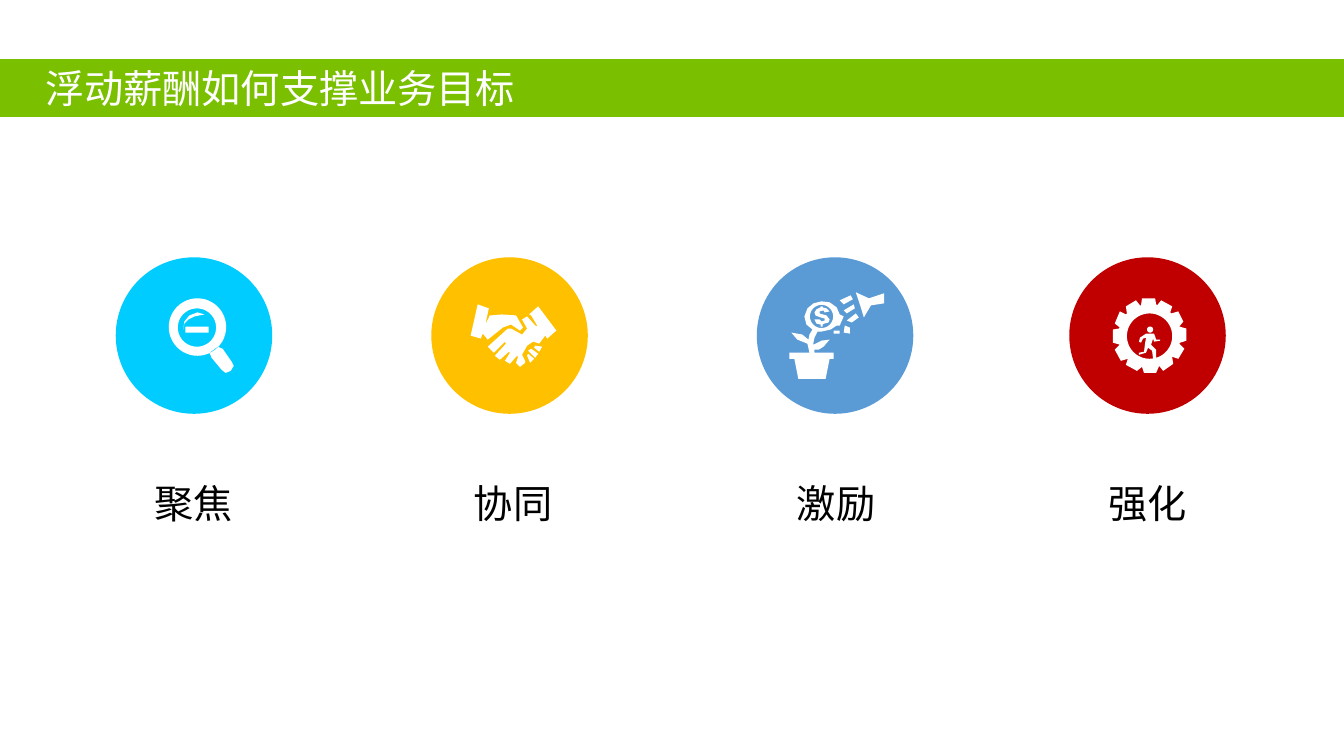
"""Build a slide showing four ways variable pay supports business goals."""
import math
from dataclasses import dataclass

from lxml import etree
from pptx import Presentation
from pptx import util as u
from pptx.dml.color import RGBColor
from pptx.enum import shapes, text
from pptx.oxml.ns import qn


@dataclass(frozen=True)
class Theme:
    font: str = "Noto Sans CJK SC"
    size: int = 28
    bar: str = "7ABF00"
    light: str = "FFFFFF"
    dark: str = "000000"
    focus: str = "00CCFF"
    teamwork: str = "FFC000"
    incentive: str = "5B9BD5"
    reinforce: str = "C00000"


def circle(x, y, radius, steps=48):
    angles = [2 * math.pi * step / steps for step in range(steps)]
    return [(x + radius * math.cos(a), y + radius * math.sin(a)) for a in angles]


def outline(points):
    return [tuple(map(int, point.split(","))) for point in points.split()]


THEME = Theme()
TITLE = "浮动薪酬如何支撑业务目标"

MAGNIFIER = [
    circle(29, 28.5, 28.5),
    circle(28.5, 29, 19),
    outline("17,28 17,34 40,34 40,28"),
    outline("15,31 16,25 20,21 26,18 36,16 29,14 21,17 16,23"),
    outline("49,48 54,50 63,63 65,67 62,72 57,74 53,71 43,59 41,54"),
]
HANDSHAKE = [
    outline("18,4 7,0 0,31 10,34 12,29 17,35 32,23 40,20 49,26 52,23 45,11 "
            "31,10 20,11 19,11 15,19 15,18 17,9"),
    outline("67,2 85,26 76,34 74,31 68,39 62,37 56,41 51,50 54,56 54,58 49,62 "
            "45,58 47,52 46,51 39,59 34,56 39,48 38,47 29,55 24,51 35,39 34,37 "
            "23,48 17,42 37,24 40,24 51,30 56,24 51,15 56,12 65,22 66,21 60,11 58,10"),
    outline("71,42 64,41 63,43 68,47"),
    outline("59,58 63,54 57,49 56,51"),
    outline("64,53 67,49 60,44 57,46"),
]
MONEY_PLANT = [
    outline("5,66 9,86 36,86 40,66 44,66 44,60 25,60 25,57 29,57 34,54 40,47 "
            "32,48 24,52 24,50 25,45 28,39 32,39 41,37 47,33 50,33 54,24 50,22 "
            "47,15 40,10 32,9 24,11 18,16 15,24 17,32 23,37 20,42 19,47 13,42 "
            "2,40 8,47 18,51 20,60 0,60 0,66"),
    circle(32, 24, 11.5),
    outline("40,19 35,20 34,18 30,19 30,21 37,23 40,27 39,30 35,31 33,32 33,34 "
            "31,34 31,32 27,31 25,27 30,27 32,29 35,28 35,26 31,25 26,23 25,20 "
            "27,17 31,15 31,14 33,14 33,15 37,16"),
    outline("81,13 74,25 70,12 66,0 79,6 94,1 94,11"),
    outline("62,30 69,25 66,21 57,28"),
    outline("60,41 54,40 55,33 60,35"),
    outline("54,12 50,8 61,3 63,7"),
    outline("57,21 54,18 64,12 65,16"),
    outline("50,41 44,41 44,38 50,38"),
]
GEAR_RUNNER = [
    outline("43,6 44,7 48,2 59,8 57,14 58,15 65,13 70,23 66,28 73,30 73,42 67,44 "
            "66,45 71,50 65,60 59,58 59,59 60,65 50,72 46,67 43,74 31,74 29,68 "
            "24,72 13,66 15,60 8,62 2,51 7,46 0,44 0,31 6,30 7,29 2,25 7,13 13,16 "
            "14,15 13,8 23,2 27,7 28,7 29,0 42,0"),
    circle(36.5, 37.5, 22.5),
    outline("26,43 27,39 33,35 41,35 43,41 47,41 47,42 41,43 40,40 38,46 43,51 "
            "43,59 40,60 39,52 35,49 33,54 26,56 26,54 31,53 32,45 33,39 30,40 28,44"),
    circle(37, 31, 3),
]

# label, colour, circle centre, label centre, icon left, icon top, icon contours
GOALS = [
    ("聚焦", THEME.focus, 138.6, 138.2, 120.2, 213.1, MAGNIFIER),
    ("协同", THEME.teamwork, 364, 366.5, 336.2, 217.4, HANDSHAKE),
    ("激励", THEME.incentive, 596.5, 597.2, 563.8, 208.8, MONEY_PLANT),
    ("强化", THEME.reinforce, 819.7, 819.7, 794.9, 213.1, GEAR_RUNNER),
]
SLIDE_WIDTH, SLIDE_HEIGHT = 960, 540
BAR_TOP, BAR_HEIGHT, TITLE_INSET = 42.3, 41.2, 32.3
CIRCLE_TOP, CIRCLE_SIZE = 183.8, 111.8
LABEL_TOP, LABEL_WIDTH = 338.4, 160
ICON_UNIT, PRECISION = 0.72, 100


def paint(shape, colour):
    shape.shadow.inherit = False
    shape.fill.solid()
    shape.fill.fore_color.rgb = RGBColor.from_string(colour)
    shape.line.fill.background()


def write(shape, words, colour, alignment):
    frame = shape.text_frame
    frame.word_wrap = True
    frame.vertical_anchor = text.MSO_ANCHOR.MIDDLE
    paragraph = frame.paragraphs[0]
    paragraph.text = words
    paragraph.alignment = alignment
    paragraph.font.size = u.Pt(THEME.size)
    paragraph.font.color.rgb = RGBColor.from_string(colour)
    paragraph.font.name = THEME.font
    defaults = paragraph._p.pPr.find(qn("a:defRPr"))
    etree.SubElement(defaults, qn("a:ea"), typeface=THEME.font)


def add_preset(slide, kind, left, top, width, height, colour):
    shape = slide.shapes.add_shape(kind, *map(u.Pt, (left, top, width, height)))
    paint(shape, colour)
    return shape


def add_icon(slide, left, top, contours):
    scaled = [[(x * PRECISION, y * PRECISION) for x, y in c] for c in contours]
    builder = slide.shapes.build_freeform(*scaled[0][0], scale=u.Pt(ICON_UNIT) / PRECISION)
    builder.add_line_segments(scaled[0][1:], close=True)
    for contour in scaled[1:]:
        builder.move_to(*contour[0])
        builder.add_line_segments(contour[1:], close=True)
    paint(builder.convert_to_shape(u.Pt(left), u.Pt(top)), THEME.light)


def main():
    presentation = Presentation()
    presentation.slide_width = u.Pt(SLIDE_WIDTH)
    presentation.slide_height = u.Pt(SLIDE_HEIGHT)
    slide = presentation.slides.add_slide(presentation.slide_layouts[6])

    bar = add_preset(slide, shapes.MSO_SHAPE.RECTANGLE, 0, BAR_TOP,
                     SLIDE_WIDTH, BAR_HEIGHT, THEME.bar)
    bar.text_frame.margin_left = u.Pt(TITLE_INSET)
    write(bar, TITLE, THEME.light, text.PP_ALIGN.LEFT)

    for label, colour, centre, label_centre, icon_left, icon_top, contours in GOALS:
        add_preset(slide, shapes.MSO_SHAPE.OVAL, centre - CIRCLE_SIZE / 2, CIRCLE_TOP,
                   CIRCLE_SIZE, CIRCLE_SIZE, colour)
        add_icon(slide, icon_left, icon_top, contours)
        box = slide.shapes.add_textbox(u.Pt(label_centre - LABEL_WIDTH / 2), u.Pt(LABEL_TOP),
                                       u.Pt(LABEL_WIDTH), u.Pt(BAR_HEIGHT))
        write(box, label, THEME.dark, text.PP_ALIGN.CENTER)

    presentation.save("out.pptx")


if __name__ == "__main__":
    main()
